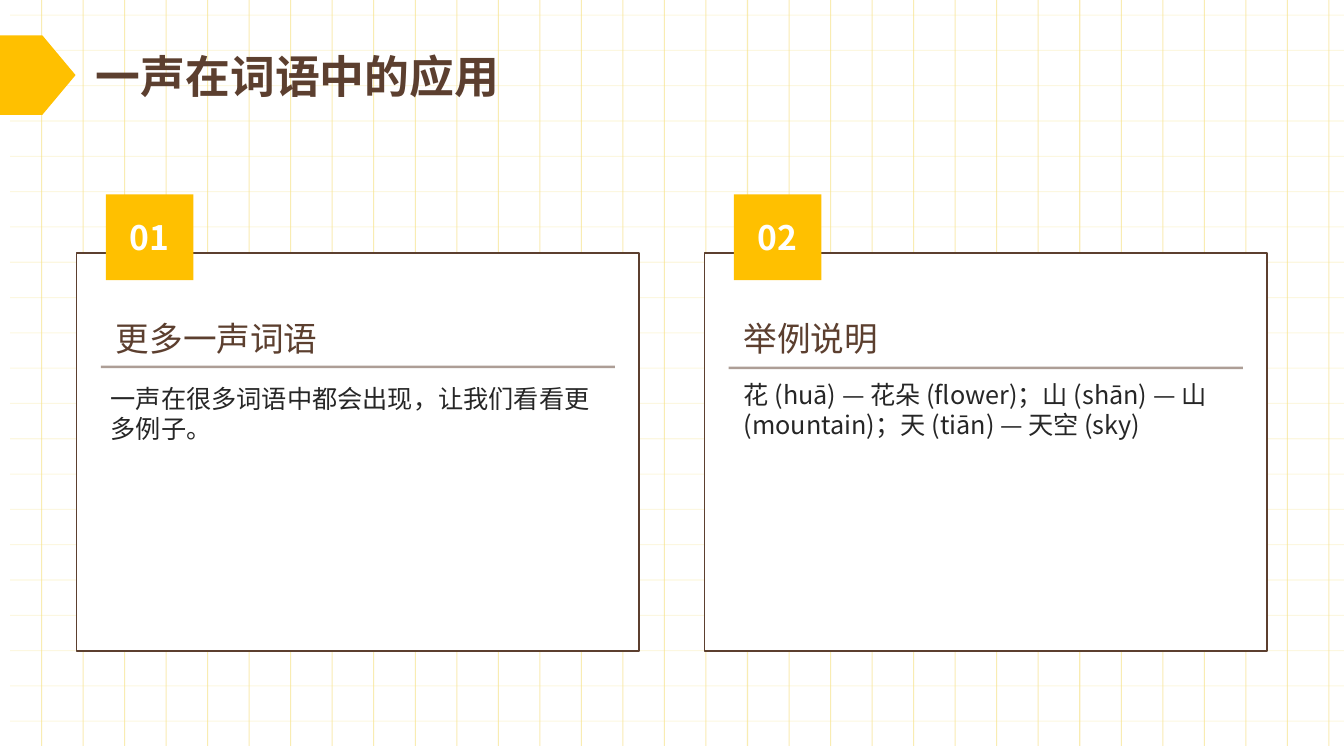
from dataclasses import dataclass

from lxml import etree
from pptx import Presentation
from pptx.dml.color import RGBColor
from pptx.enum.shapes import MSO_CONNECTOR, MSO_SHAPE
from pptx.enum.text import MSO_ANCHOR, MSO_AUTO_SIZE, PP_ALIGN
from pptx.oxml.ns import qn
from pptx.shapes.autoshape import Shape
from pptx.slide import Slide
from pptx.util import Inches, Length, Pt

SLIDE_WIDTH = Inches(13.33)
SLIDE_HEIGHT = Inches(7.5)
FONT = "Noto Sans CJK SC"

WHITE = RGBColor(0xFF, 0xFF, 0xFF)
AMBER = RGBColor(0xFF, 0xC0, 0x00)
BROWN = RGBColor(0x5C, 0x3F, 0x2F)
INK = RGBColor(0x26, 0x26, 0x26)
PALE_YELLOW = RGBColor(0xF7, 0xE2, 0x88)

STRAIGHT = MSO_CONNECTOR.STRAIGHT
RECTANGLE = MSO_SHAPE.RECTANGLE
PENTAGON = MSO_SHAPE.PENTAGON
TOP = MSO_ANCHOR.TOP
MIDDLE = MSO_ANCHOR.MIDDLE
NO_AUTOFIT = MSO_AUTO_SIZE.NONE
LEFT = PP_ALIGN.LEFT
CENTER = PP_ALIGN.CENTER

GRID_COLUMN = 3.09
GRID_ROW = 4.67
CARD_PITCH = 46.72


@dataclass(frozen=True)
class Box:
    """Position and size in percent of the slide's width and height."""

    left: float
    top: float
    width: float
    height: float

    def shifted(self, distance: float) -> "Box":
        return Box(self.left + distance, self.top, self.width, self.height)

    def lengths(self) -> tuple[Length, Length, Length, Length]:
        return (across(self.left), down(self.top),
                across(self.width), down(self.height))


@dataclass(frozen=True)
class TextStyle:
    size: int
    color: RGBColor
    bold: bool = False
    align: PP_ALIGN = LEFT
    anchor: MSO_ANCHOR = MIDDLE


@dataclass(frozen=True)
class LineStyle:
    color: RGBColor
    width: float
    opacity: int


@dataclass(frozen=True)
class Card:
    number: str
    heading: str
    body: str
    body_box: Box
    rule_top: float


TITLE_STYLE = TextStyle(32, BROWN, bold=True)
NUMBER_STYLE = TextStyle(24, WHITE, bold=True, align=CENTER)
HEADING_STYLE = TextStyle(24, BROWN)
BODY_STYLE = TextStyle(18, INK, anchor=TOP)

ROW_LINE = LineStyle(PALE_YELLOW, 0.75, 25)
COLUMN_LINE = LineStyle(PALE_YELLOW, 0.75, 64)
HEADING_RULE = LineStyle(BROWN, 1.75, 50)

TITLE_BOX = Box(6.38, 4.67, 88.58, 10.53)
MARKER_BOX = Box(0, 4.67, 5.62, 10.53)
FRAME_BOX = Box(5.7, 33.47, 41.85, 52.67)
NUMBER_BOX = Box(7.88, 25.73, 6.52, 11.33)
HEADING_BOX = Box(7.88, 40.8, 37.2, 7.87)

CARDS = (
    Card("01", "更多一声词语",
         "一声在很多词语中都会出现，让我们看看更多例子。",
         Box(7.5, 50, 37.58, 32.27), 48.53),
    Card("02", "举例说明",
         "花 (huā) — 花朵 (flower)；山 (shān) — 山 (mountain)；天 (tiān) — 天空 (sky)",
         Box(7.88, 49.47, 37.2, 31.47), 48.67),
)


def across(percent: float) -> Length:
    return Length(round(SLIDE_WIDTH * percent / 100))


def down(percent: float) -> Length:
    return Length(round(SLIDE_HEIGHT * percent / 100))


def write(shape: Shape, text: str, style: TextStyle) -> None:
    frame = shape.text_frame
    frame.text = text
    frame.word_wrap = True
    frame.auto_size = NO_AUTOFIT
    frame.vertical_anchor = style.anchor
    paragraph = frame.paragraphs[0]
    paragraph.alignment = style.align
    paragraph.line_spacing = 1.0
    font = paragraph.font
    font.size = Pt(style.size)
    font.bold = style.bold
    font.color.rgb = style.color
    font.name = FONT
    latin = paragraph._p.find(".//" + qn("a:latin"))
    east_asian = etree.Element(qn("a:ea"), typeface=FONT)
    latin.addnext(east_asian)


def add_block(slide: Slide, preset: MSO_SHAPE, box: Box, fill: RGBColor) -> Shape:
    block = slide.shapes.add_shape(preset, *box.lengths())
    block.shadow.inherit = False
    block.fill.solid()
    block.fill.fore_color.rgb = fill
    block.line.fill.background()
    return block


def add_text(slide: Slide, box: Box, text: str, style: TextStyle) -> None:
    write(slide.shapes.add_textbox(*box.lengths()), text, style)


def add_line(slide: Slide, start: tuple[float, float], end: tuple[float, float],
             style: LineStyle) -> None:
    connector = slide.shapes.add_connector(
        STRAIGHT, across(start[0]), down(start[1]), across(end[0]), down(end[1]))
    connector.line.color.rgb = style.color
    connector.line.width = Pt(style.width)
    properties = connector.element.spPr
    color = properties.find(".//" + qn("a:srgbClr"))
    etree.SubElement(color, qn("a:alpha"), val=str(style.opacity * 1000))
    etree.SubElement(properties, qn("a:effectLst"))


def add_background_grid(slide: Slide) -> None:
    for row in range(21):
        y = 2 + row * GRID_ROW
        add_line(slide, (0.75, y), (100, y), ROW_LINE)
    for column in range(1, 33):
        x = column * GRID_COLUMN
        add_line(slide, (x, -1.33), (x, 98.67), COLUMN_LINE)


def add_card(slide: Slide, card: Card, shift: float) -> None:
    frame = add_block(slide, RECTANGLE, FRAME_BOX.shifted(shift), WHITE)
    frame.line.color.rgb = BROWN
    frame.line.width = Pt(1.25)
    number = add_block(slide, RECTANGLE, NUMBER_BOX.shifted(shift), AMBER)
    write(number, card.number, NUMBER_STYLE)
    add_line(slide, (7.5 + shift, card.rule_top), (45.75 + shift, card.rule_top),
             HEADING_RULE)
    add_text(slide, HEADING_BOX.shifted(shift), card.heading, HEADING_STYLE)
    add_text(slide, card.body_box.shifted(shift), card.body, BODY_STYLE)


def add_title(slide: Slide, text: str) -> None:
    title = slide.shapes.title
    title.left, title.top, title.width, title.height = TITLE_BOX.lengths()
    write(title, text, TITLE_STYLE)
    title.element.getparent().append(title.element)
    marker = add_block(slide, PENTAGON, MARKER_BOX, AMBER)
    marker.adjustments[0] = 0.44


def main() -> None:
    deck = Presentation()
    deck.slide_width = SLIDE_WIDTH
    deck.slide_height = SLIDE_HEIGHT
    slide = deck.slides.add_slide(deck.slide_layouts[5])
    add_background_grid(slide)
    for index, card in enumerate(CARDS):
        add_card(slide, card, index * CARD_PITCH)
    add_title(slide, "一声在词语中的应用")
    deck.save("out.pptx")


if __name__ == "__main__":
    main()
